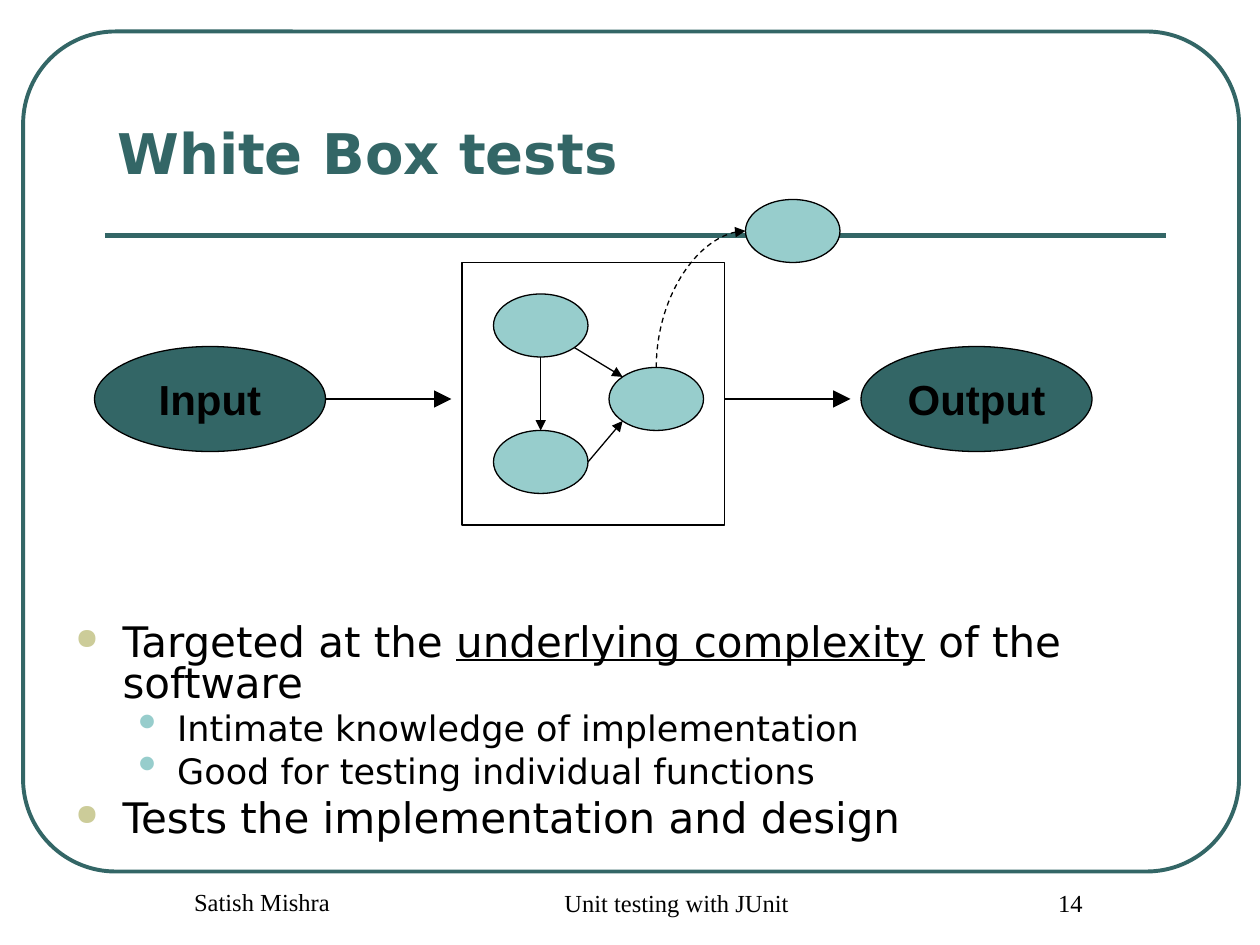
from lxml import etree
from pptx import Presentation, util as u
from pptx.dml.color import RGBColor
from pptx.enum import dml, shapes, text
from pptx.oxml.ns import qn

PX = 7620  # EMU per px, 120 px to the inch
COLORS = {"teal": "336666", "aqua": "97CDCC", "sand": "CCCC99",
          "black": "000000", "white": "FFFFFF"}
RGB = {name: RGBColor.from_string(value) for name, value in COLORS.items()}
KIND = shapes.MSO_SHAPE
CENTER = text.PP_ALIGN.CENTER

deck = Presentation()
deck.slide_width, deck.slide_height = 1200 * PX, 900 * PX
slide = deck.slides.add_slide(deck.slide_layouts[6])


def add_outline(kind, box, fill=None, line="black", width=0.75):
    shape = slide.shapes.add_shape(kind, *[n * PX for n in box])
    shape.shadow.inherit = False
    if fill:
        shape.fill.solid()
        shape.fill.fore_color.rgb = RGB[fill]
    else:
        shape.fill.background()
    shape.line.color.rgb = RGB[line]
    shape.line.width = u.Pt(width)
    return shape


def add_line(start, end, kind="STRAIGHT", color="black", width=0.75, head=None):
    line = slide.shapes.add_connector(
        shapes.MSO_CONNECTOR[kind], *[int(n * PX) for n in (*start, *end)])
    line.line.color.rgb = RGB[color]
    line.line.width = u.Pt(width)
    if head:
        etree.SubElement(line.line._get_or_add_ln(), qn("a:tailEnd"),
                         type="triangle", w=head, len=head)
    etree.SubElement(line._element.spPr, qn("a:effectLst"))
    return line


# Frame and title rule
frame = add_outline(KIND.ROUNDED_RECTANGLE, (22, 30, 1158, 800), line="teal", width=2.25)
frame.adjustments[0] = 0.11
add_line((100, 224), (1110, 224), color="teal", width=3)

# Title
title = slide.shapes.add_textbox(*[n * PX for n in (100, 70, 1010, 150)]).text_frame
title.word_wrap = True
title.vertical_anchor = text.MSO_ANCHOR.MIDDLE
run = title.paragraphs[0].add_run()
run.text = "White Box tests"
run.font.name, run.font.size, run.font.bold = "DejaVu Sans", u.Pt(32), True
run.font.color.rgb = RGB["teal"]

# Bullets: level, runs as (words, underlined)
points = [
    (0, [("Targeted at the ", False), ("underlying complexity", True),
         (" of the software", False)]),
    (1, [("Intimate knowledge of implementation", False)]),
    (1, [("Good for testing individual functions", False)]),
    (0, [("Tests the implementation and design", False)]),
]
# Level: margin and hanging px, bullet, its colour and percent, text size, space before
levels = [(45, 45, "●", "sand", 70, 24, 6), (97, 37, "•", "aqua", 150, 20, 5)]
body = slide.shapes.add_textbox(*[n * PX for n in (60, 590, 1080, 220)]).text_frame
body.word_wrap = True
for i, (level, runs) in enumerate(points):
    margin, hang, bullet, color, percent, size, before = levels[level]
    point = body.add_paragraph() if i else body.paragraphs[0]
    point.level = level
    props = point._p.get_or_add_pPr()
    props.set("marL", str(margin * PX))
    props.set("indent", str(-hang * PX))
    bullet_color = etree.SubElement(props, qn("a:buClr"))
    etree.SubElement(bullet_color, qn("a:srgbClr"), val=COLORS[color])
    etree.SubElement(props, qn("a:buSzPct"), val=str(percent * 1000))
    etree.SubElement(props, qn("a:buChar"), char=bullet)
    point.line_spacing = 0.8
    if i:
        point.space_before = u.Pt(before)
    for words, underlined in runs:
        run = point.add_run()
        run.text = words
        run.font.name, run.font.size = "DejaVu Sans", u.Pt(size)
        run.font.color.rgb = RGB["black"]
        if underlined:
            run.font.underline = True

# Input and output, each with its arrow
for words, left, arrow_left in (("Input", 90, 310), ("Output", 820, 690)):
    end = add_outline(KIND.OVAL, (left, 330, 220, 100), "teal")
    end.text_frame.word_wrap = False
    end.text_frame.vertical_anchor = text.MSO_ANCHOR.MIDDLE
    label = end.text_frame.paragraphs[0]
    label.alignment = CENTER
    run = label.add_run()
    run.text = words
    run.font.name, run.font.size, run.font.bold = "Arial", u.Pt(24), True
    run.font.color.rgb = RGB["black"]
    add_line((arrow_left, 380), (arrow_left + 120, 380), head="lg")

# White box and its units
add_outline(KIND.RECTANGLE, (440, 250, 250, 250), "white")
for left, top in ((470, 280), (470, 410), (580, 350), (710, 190)):
    add_outline(KIND.OVAL, (left, top, 90, 60), "aqua")

# Calls between the units
for start, end in (((515, 340), (515, 410)), ((547, 331), (593, 359)),
                   ((560, 440), (593, 401))):
    add_line(start, end, head="med")

# Dashed call out of the box: a quarter curve, turned to leave upwards
(x1, y1), (x2, y2) = (625, 350), (710, 220)
mid_x, mid_y = (x1 + x2) / 2, (y1 + y2) / 2
half_w, half_h = (y1 - y2) / 2, (x2 - x1) / 2
outside_call = add_line((mid_x + half_w, mid_y + half_h),
                        (mid_x - half_w, mid_y - half_h), kind="CURVE", head="med")
outside_call.line.dash_style = dml.MSO_LINE.DASH
outside_call._element.spPr.find(qn("a:xfrm")).set("rot", str(90 * 60000))
outside_call._element.spPr.find(qn("a:prstGeom")).set("prst", "curvedConnector2")

# Footer
for words, left, top, width in (("Unit testing with JUnit", 440, 840, 380),
                                ("14", 900, 840, 210),
                                ("Satish Mishra", 100, 839, 270)):
    footer = slide.shapes.add_textbox(*[n * PX for n in (left, top, width, 60)]).text_frame
    footer.word_wrap = True
    note = footer.paragraphs[0]
    note.alignment = CENTER
    note._p.get_or_add_pPr().set("marL", str(29 * PX))
    run = note.add_run()
    run.text = words
    run.font.name, run.font.size = "Times New Roman", u.Pt(14)
    run.font.color.rgb = RGB["black"]

deck.save("out.pptx")
